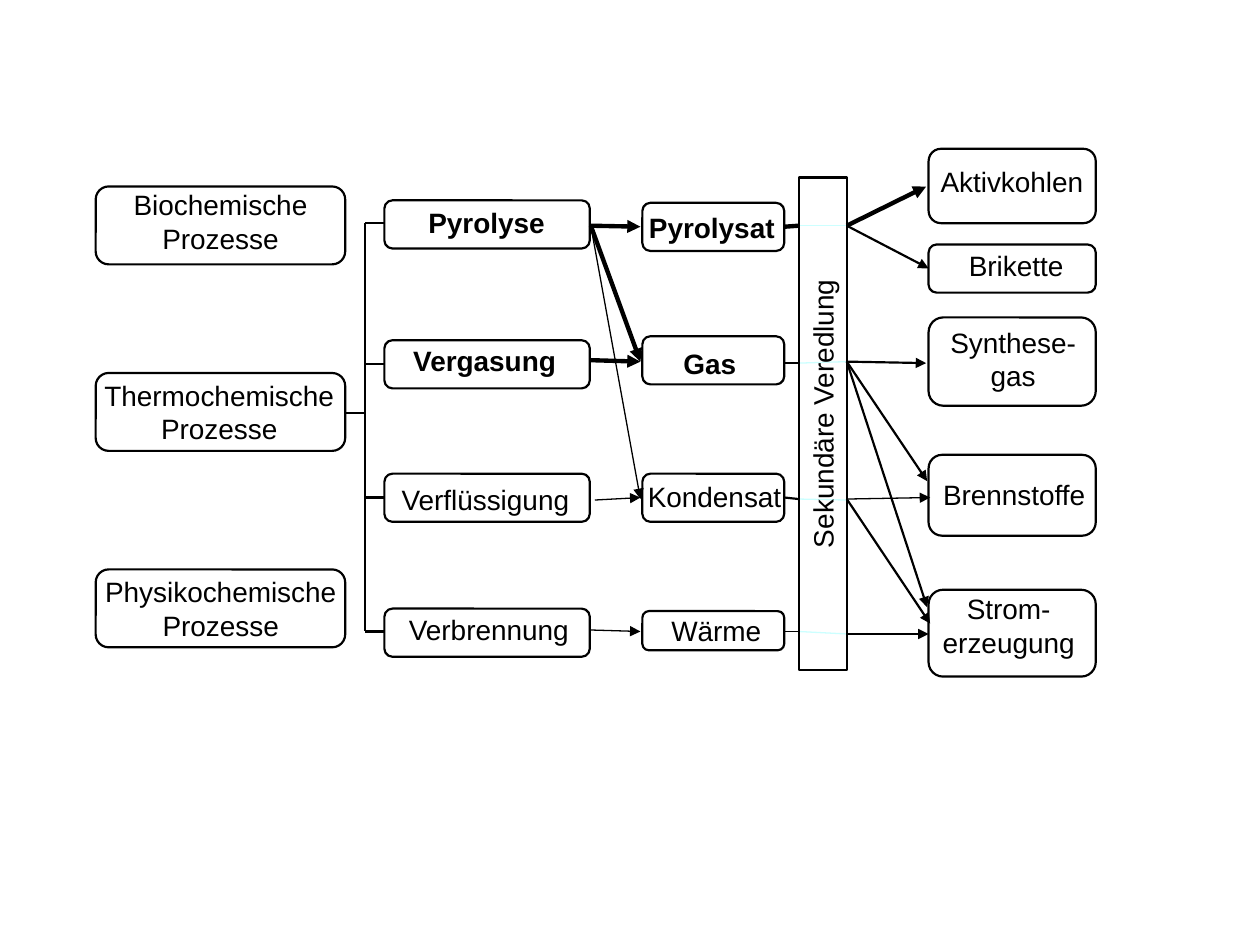
from lxml import etree
from pptx import Presentation
from pptx import util as u
from pptx.dml import color
from pptx.enum import shapes, text
from pptx.oxml import ns

INK, PALE = "000000", "CCFFFF"
tint = color.RGBColor.from_string

deck = Presentation()
deck.slide_width, deck.slide_height = u.Cm(25.4), u.Cm(19.05)
slide = deck.slides.add_slide(deck.slide_layouts[6])
items = slide.shapes


def write(words, left, top, width, height=0.94, bold=False, turn=0, ink=INK):
    box = items.add_textbox(*map(u.Cm, (left, top, width, height)))
    box.rotation = turn
    frame = box.text_frame
    frame.word_wrap = True
    para = frame.paragraphs[0]
    para.alignment = text.PP_ALIGN.CENTER
    run = para.add_run()
    run.text = words
    run.font.name, run.font.size, run.font.bold = "Arial", u.Pt(16), bold
    run.font.color.rgb = tint(ink)


def draw(kind, left, top, width, height):
    box = items.add_shape(kind, *map(u.Cm, (left, top, width, height)))
    box.shadow.inherit = False
    box.fill.background()
    box.line.color.rgb = tint(INK)
    box.line.width = u.Pt(1.25)


# Columns of boxes: left, width, then rows of
# label, box top, box height, text left, text top, text width, text height, bold
ONE, TWO = 0.94, 1.63
columns = [
    (1.93, 5.03, [  # process families
        ("Biochemische Prozesse", 3.76, 1.57, 2.16, 3.66, 4.57, TWO, False),
        ("Thermochemische Prozesse", 7.52, 1.57, 1.78, 7.5, 5.28, TWO, False),
        ("Physikochemische Prozesse", 11.48, 1.57, 1.73, 11.46, 5.44, TWO, False)]),
    (7.75, 4.14, [  # thermochemical processes
        ("Pyrolyse", 4.04, 0.97, 8.26, 4.01, 3.1, ONE, True),
        ("Vergasung", 6.86, 0.97, 7.65, 6.81, 4.24, ONE, True),
        ("Verflüssigung", 9.55, 0.97, 7.59, 9.6, 4.39, ONE, False),
        ("Verbrennung", 12.27, 0.97, 7.77, 12.22, 4.17, ONE, False)]),
    (12.95, 2.86, [  # primary products
        ("Pyrolysat", 4.09, 0.97, 12.75, 4.11, 3.2, ONE, True),
        ("Gas", 6.78, 0.97, 12.95, 6.86, 2.72, ONE, True),
        ("Kondensat", 9.55, 0.97, 12.78, 9.55, 3.25, ONE, False),
        ("Wärme", 12.32, 0.79, 13.08, 12.24, 2.72, ONE, False)]),
    (18.72, 3.37, [  # end products
        ("Aktivkohlen", 3, 1.5, 18.24, 3.2, 4.32, ONE, False),
        ("Brikette", 4.93, 0.97, 18.72, 4.88, 3.53, ONE, False),
        ("Synthese-gas", 6.4, 1.78, 18.57, 6.43, 3.71, TWO, False),
        ("Brennstoffe", 9.17, 1.63, 18.54, 9.5, 3.81, ONE, False),
        ("Strom-erzeugung", 11.89, 1.75, 18.57, 11.81, 3.53, TWO, False)]),
]
for left, width, rows in columns:
    for label, top, high, tx, ty, tw, th, bold in rows:
        draw(shapes.MSO_SHAPE.FLOWCHART_ALTERNATE_PROCESS, left, top, width, high)
        write(label, tx, ty, tw, th, bold=bold)

# Lines: x1, y1, x2, y2, weight, colour, arrow
THIN, MID, BOLD = 0.75, 1.25, 2.5
lines = []

# Tree from the thermochemical family to its processes
lines.append((7.36, 4.5, 7.36, 12.73, MID, INK, False))
lines.append((6.96, 8.33, 7.36, 8.33, MID, INK, False))
for y in (4.5, 7.34, 10.03, 12.73):
    lines.append((7.36, y, 7.75, y, MID, INK, False))

# Processes to primary products
for x, y, end, weight in [
        (11.91, 4.55, 4.57, BOLD), (11.91, 4.55, 7.29, BOLD),
        (11.91, 4.55, 10.06, THIN), (11.89, 7.26, 7.29, BOLD),
        (11.99, 10.08, 10.03, THIN), (11.91, 12.7, 12.73, THIN)]:
    lines.append((x, y, 12.91, end, weight, INK, True))

# Primary products to the refining bar, then faintly through it
for start, enter, leave, weight in [
        (4.57, 4.55, 4.55, BOLD), (7.32, 7.32, 7.29, THIN),
        (10.03, 10.06, 10.08, MID), (12.73, 12.73, 12.78, THIN)]:
    lines.append((15.82, start, 16.1, enter, weight, INK, False))
    lines.append((16.1, enter, 17.07, leave, THIN, PALE, False))

# Refining bar to end products
for y, x, end, weight in [
        (4.55, 18.67, 3.76, BOLD), (4.55, 18.72, 5.41, MID),
        (7.29, 18.67, 7.32, MID), (7.29, 18.69, 9.7, MID),
        (7.29, 18.69, 12.24, MID), (10.06, 18.75, 10.03, THIN),
        (10.06, 18.75, 12.57, MID), (12.78, 18.72, 12.78, MID)]:
    lines.append((17.07, y, x, end, weight, INK, True))

for x1, y1, x2, y2, weight, ink, arrow in lines:
    link = items.add_connector(shapes.MSO_CONNECTOR.STRAIGHT,
                               *map(u.Cm, (x1, y1, x2, y2)))
    link.line.color.rgb = tint(ink)
    link.line.width = u.Pt(weight)
    if arrow:
        tail = etree.SubElement(link.line._get_or_add_ln(), ns.qn("a:tailEnd"))
        tail.set("type", "triangle")
    etree.SubElement(link._element.spPr, ns.qn("a:effectLst"))

# Refining bar
draw(shapes.MSO_SHAPE.RECTANGLE, 16.1, 3.58, 0.98, 9.93)
write("Sekundäre Veredlung", 12.57, 7.87, 8.03, turn=270)

deck.save("out.pptx")
